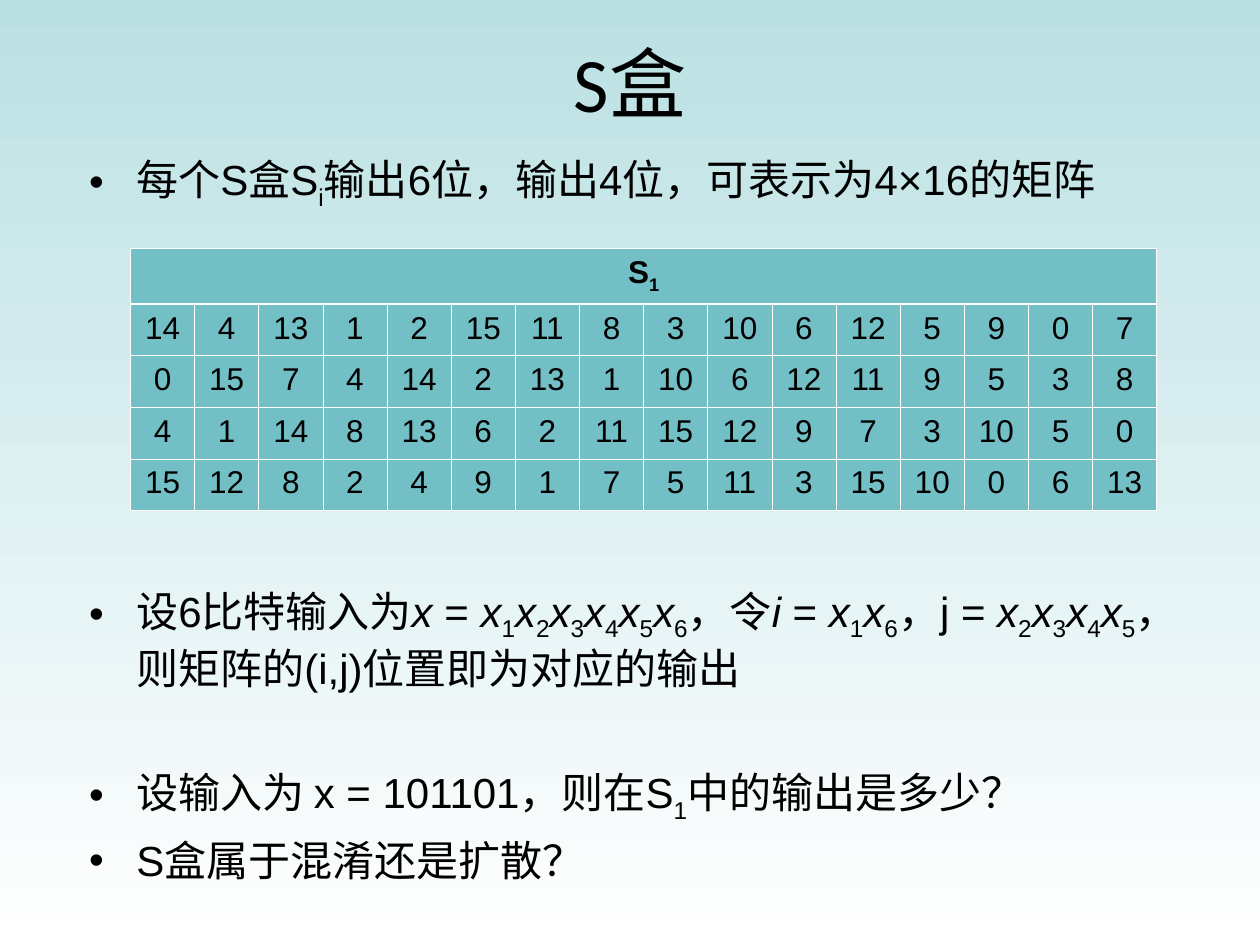
"""Build the slide that introduces the S-box matrix and its lookup rule."""
from dataclasses import dataclass

from lxml.etree import SubElement
from pptx import Presentation
from pptx.dml.color import RGBColor
from pptx.enum.text import MSO_ANCHOR, PP_ALIGN
from pptx.oxml.ns import qn
from pptx.slide import Slide
from pptx.table import _Cell
from pptx.text.text import TextFrame, _Paragraph
from pptx.util import Cm, Length, Pt


@dataclass(frozen=True)
class Theme:
    sky: str = "BBE0E3"
    white: str = "FFFFFF"
    ink: str = "000000"
    teal: str = "72BFC5"
    latin_title: str = "Calibri"
    body_font: str = "Arial"
    title_size: Length = Pt(44)
    body_size: Length = Pt(24)
    matrix_size: Length = Pt(18)
    thin_rule: Length = Pt(0.45)
    thick_rule: Length = Pt(1.47)


@dataclass(frozen=True)
class Box:
    left: Length
    top: Length
    width: Length
    height: Length


@dataclass(frozen=True)
class Bullet:
    """A paragraph whose pieces are split by |, with _ for subscript and / for italic."""
    markup: str
    gap_before: Length = Pt(6)


THEME = Theme()
TITLE_BOX = Box(Cm(1.27), Cm(0.05), Cm(22.86), Cm(3.18))
BODY_BOX = Box(Cm(1.55), Cm(2.97), Cm(22.86), Cm(15.39))
MATRIX_BOX = Box(Cm(2.63), Cm(5.01), Cm(20.7), Cm(5.28))
HEADER_HEIGHT = Cm(1.12)
HANGING = Cm(0.95)

S1 = [
    [14, 4, 13, 1, 2, 15, 11, 8, 3, 10, 6, 12, 5, 9, 0, 7],
    [0, 15, 7, 4, 14, 2, 13, 1, 10, 6, 12, 11, 9, 5, 3, 8],
    [4, 1, 14, 8, 13, 6, 2, 11, 15, 12, 9, 7, 3, 10, 5, 0],
    [15, 12, 8, 2, 4, 9, 1, 7, 5, 11, 3, 15, 10, 0, 6, 13],
]


def bits(indices: str) -> str:
    """Return the markup of the input bits with the given indices."""
    return "|".join(f"/x|_{index}" for index in indices)


BULLETS = [
    Bullet("每个S盒S|_i|输出6位，输出4位，可表示为4×16的矩阵"),
    Bullet(
        f"设6比特输入为|/x |= |{bits('123456')}|，令|/i| = |{bits('16')}"
        f"|，j = |{bits('2345')}|，则矩阵的(i,j)位置即为对应的输出",
        Pt(214),
    ),
    Bullet("设输入为 x = 101101，则在S|_1|中的输出是多少？", Pt(42)),
    Bullet("S盒属于混淆还是扩散？"),
]


def write(paragraph: _Paragraph, markup: str, size: Length, bold: bool = False) -> None:
    """Fill a paragraph with runs read from markup."""
    for piece in markup.split("|"):
        run = paragraph.add_run()
        run.text = piece.lstrip("_/")
        run.font.name = THEME.body_font
        run.font.size = size
        run.font.bold = bold
        run.font.italic = piece.startswith("/")
        run.font.color.rgb = RGBColor.from_string(THEME.ink)
        if piece.startswith("_"):
            run.font._element.set("baseline", "-25000")


def add_text_frame(slide: Slide, box: Box) -> TextFrame:
    """Add a wrapping text box and return its frame."""
    frame = slide.shapes.add_textbox(box.left, box.top, box.width, box.height).text_frame
    frame.word_wrap = True
    return frame


def paint_background(slide: Slide) -> None:
    """Fade the background from sky to white downwards."""
    fill = slide.background.fill
    fill.gradient()
    fill.gradient_angle = 270
    for stop, color in zip(fill.gradient_stops, (THEME.sky, THEME.white)):
        stop.color.rgb = RGBColor.from_string(color)


def add_title(slide: Slide) -> None:
    """Add the centred title."""
    frame = add_text_frame(slide, TITLE_BOX)
    frame.vertical_anchor = MSO_ANCHOR.MIDDLE
    heading = frame.paragraphs[0]
    heading.alignment = PP_ALIGN.CENTER
    write(heading, "S|盒", THEME.title_size)
    heading.runs[0].font.name = THEME.latin_title


def add_bullets(slide: Slide) -> None:
    """Add the bulleted text around the matrix."""
    frame = add_text_frame(slide, BODY_BOX)
    for number, bullet in enumerate(BULLETS):
        paragraph = frame.add_paragraph() if number else frame.paragraphs[0]
        paragraph.space_before = bullet.gap_before
        properties = paragraph._p.get_or_add_pPr()
        properties.set("marL", str(HANGING))
        properties.set("indent", str(-HANGING))
        bullet_color = SubElement(properties, qn("a:buClr"))
        SubElement(bullet_color, qn("a:srgbClr"), val=THEME.ink)
        SubElement(properties, qn("a:buFont"), typeface=THEME.body_font)
        SubElement(properties, qn("a:buChar"), char="•")
        write(paragraph, bullet.markup, THEME.body_size)


def style_cell(cell: _Cell, row: int) -> None:
    """Fill a cell and rule it, with a thick line below the header."""
    top = THEME.thick_rule if row == 1 else THEME.thin_rule
    bottom = THEME.thick_rule if row == 0 else THEME.thin_rule
    rules = {"lnL": THEME.thin_rule, "lnR": THEME.thin_rule, "lnT": top, "lnB": bottom}
    properties = cell._tc.get_or_add_tcPr()
    for side, width in rules.items():
        line = SubElement(properties, qn(f"a:{side}"), w=str(width))
        SubElement(SubElement(line, qn("a:solidFill")), qn("a:srgbClr"), val=THEME.white)
    cell.fill.solid()
    cell.fill.fore_color.rgb = RGBColor.from_string(THEME.teal)


def add_matrix(slide: Slide) -> None:
    """Add the S1 matrix under its merged header."""
    columns = len(S1[0])
    box = MATRIX_BOX
    matrix = slide.shapes.add_table(
        len(S1) + 1, columns, box.left, box.top, box.width, box.height
    ).table
    for column in matrix.columns:
        column.width = Length(box.width // columns)
    for number, row in enumerate(matrix.rows):
        body_height = Length((box.height - HEADER_HEIGHT) // len(S1))
        row.height = body_height if number else HEADER_HEIGHT
    matrix.cell(0, 0).merge(matrix.cell(0, columns - 1))
    for row, values in enumerate([["S|_1"] + [""] * (columns - 1), *S1]):
        for column, value in enumerate(values):
            cell = matrix.cell(row, column)
            style_cell(cell, row)
            if not cell.is_spanned:
                entry = cell.text_frame.paragraphs[0]
                entry.alignment = PP_ALIGN.CENTER
                write(entry, str(value), THEME.matrix_size, bold=row == 0)


def main() -> None:
    """Build and save the presentation."""
    deck = Presentation()
    deck.slide_width, deck.slide_height = Cm(25.4), Cm(19.05)
    slide = deck.slides.add_slide(deck.slide_layouts[6])
    paint_background(slide)
    add_title(slide)
    add_bullets(slide)
    add_matrix(slide)
    deck.save("out.pptx")


if __name__ == "__main__":
    main()
